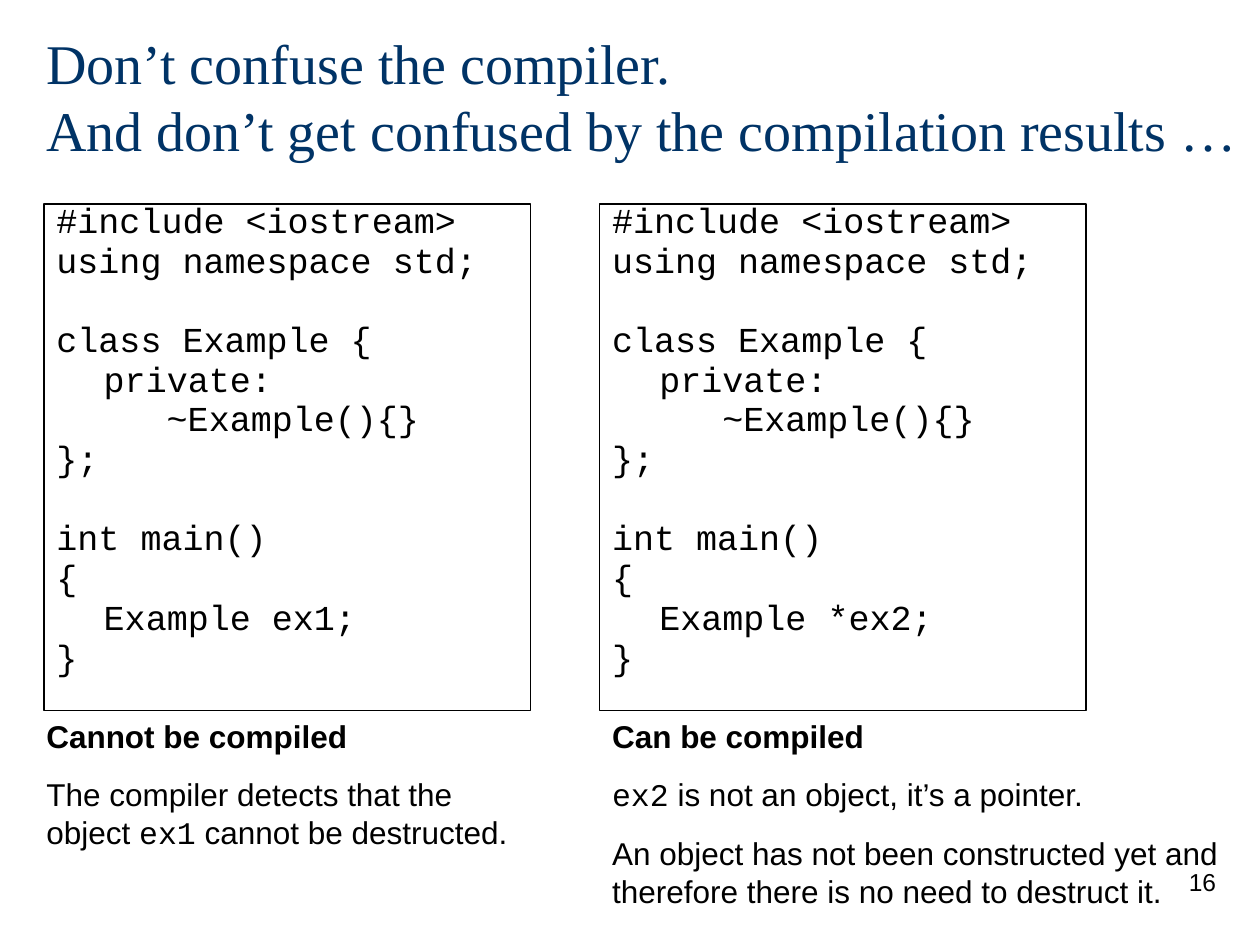
from lxml.etree import SubElement
from pptx import Presentation
from pptx.dml.color import RGBColor
from pptx.enum.shapes import MSO_SHAPE as Shape
from pptx.enum.text import MSO_ANCHOR as Anchor, PP_ALIGN as Align
from pptx.oxml.ns import qn
from pptx.util import Pt

BLACK = RGBColor(0, 0, 0)
WHITE = RGBColor(255, 255, 255)
NAVY = RGBColor(0, 0x33, 0x66)
SANS, SERIF, MONO = "Arial", "Times New Roman", "Courier New"

TITLE = ("Don’t confuse the compiler.\v"
         "And don’t get confused by the compilation results …")
PAGE = "16"
CODE = """#include <iostream>
using namespace std;

class Example {
\tprivate:
\t\t~Example(){}
};

int main()
{
\tExample %s;
}"""

# Each note is a list of paragraphs; each paragraph is a list of (text, font).
COLUMNS = [
    {"left": 25.2, "note left": 19.4, "note size": (289.4, 83.5),
     "object": "ex1", "verdict": "Cannot be compiled",
     "notes": [[("The compiler detects that the object ", SANS),
                ("ex1", MONO), (" cannot be destructed.", SANS)]]},
    {"left": 342.7, "note left": 342.7, "note size": (362.9, 116.6),
     "object": "*ex2", "verdict": "Can be compiled",
     "notes": [[("ex2", MONO), (" is not an object, it’s a pointer.", SANS)],
               [("An object has not been constructed yet and "
                 "therefore there is no need to destruct it.", SANS)]]},
]
TOP, WIDTH, HEIGHT = 116.6, 277.9, 289.4
INDENT, TAB = 27, 72
GAP, LINE = 6, 22  # space between code lines, full line pitch
NOTE_GAP = 12


def style(font, size, color=BLACK, name=None, bold=None):
    font.size, font.name, font.bold = Pt(size), name, bold
    font.color.rgb = color


def add_box(slide, *place):
    frame = slide.shapes.add_textbox(*map(Pt, place)).text_frame
    frame.word_wrap = True
    return frame


def next_para(frame, first):
    return frame.paragraphs[0] if first else frame.add_paragraph()


def set_tabs(para):
    """Hang the first line and place tab stops at equal steps."""
    props = para._p.get_or_add_pPr()
    props.set("marL", str(Pt(INDENT)))
    props.set("indent", str(-Pt(INDENT)))
    stops = SubElement(props, qn("a:tabLst"))
    for i in range(8):
        SubElement(stops, qn("a:tab"), pos=str(Pt(i * TAB)), algn="l")


def add_code(slide, left, code):
    box = slide.shapes.add_shape(
        Shape.RECTANGLE, *map(Pt, (left, TOP, WIDTH, HEIGHT)))
    box.shadow.inherit = False
    box.fill.solid()
    box.fill.fore_color.rgb = WHITE
    box.line.color.rgb = BLACK
    box.line.width = Pt(0.75)
    frame = box.text_frame
    frame.word_wrap = True
    frame.vertical_anchor = Anchor.TOP
    space = 0
    for i, line in enumerate(code.splitlines()):
        if not line:
            space += LINE
            continue
        para = next_para(frame, i == 0)
        set_tabs(para)
        para.text = line
        para.alignment = Align.LEFT
        para.line_spacing = 0.7
        para.space_before = Pt(space)
        style(para.font, 20, name=MONO)
        space = GAP


def add_notes(slide, col):
    frame = add_box(slide, col["note left"], TOP + HEIGHT, *col["note size"])
    head = frame.paragraphs[0]
    head.text = col["verdict"]
    style(head.font, 18, name=SANS, bold=True)
    for parts in col["notes"]:
        para = frame.add_paragraph()
        para.space_before = Pt(NOTE_GAP)
        style(para.font, 18)
        for text, name in parts:
            run = para.add_run()
            run.text = text
            run.font.name = name


def main():
    deck = Presentation()
    deck.slide_width, deck.slide_height = Pt(720), Pt(540)
    slide = deck.slides.add_slide(deck.slide_layouts[6])

    page = add_box(slide, 552.2, 491.8, 149.8, 36).paragraphs[0]
    page.text = PAGE
    page.alignment = Align.RIGHT
    style(page.font, 14, name=SANS)

    frame = add_box(slide, 19.4, 9.4, 700.6, 90)
    frame.vertical_anchor = Anchor.MIDDLE
    title = frame.paragraphs[0]
    title.text = TITLE
    style(title.font, 32, NAVY, SERIF)

    for col in COLUMNS:
        add_code(slide, col["left"], CODE % col["object"])
        add_notes(slide, col)
    deck.save("out.pptx")


if __name__ == "__main__":
    main()
